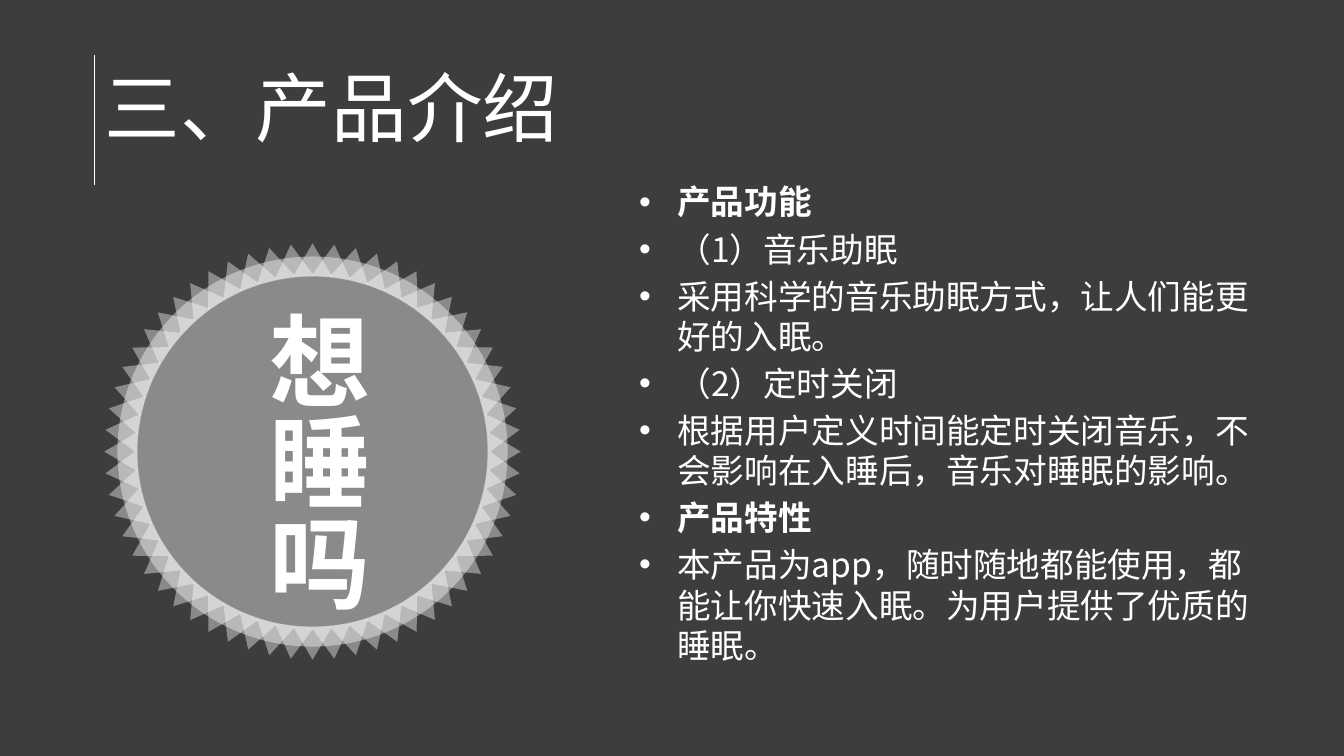
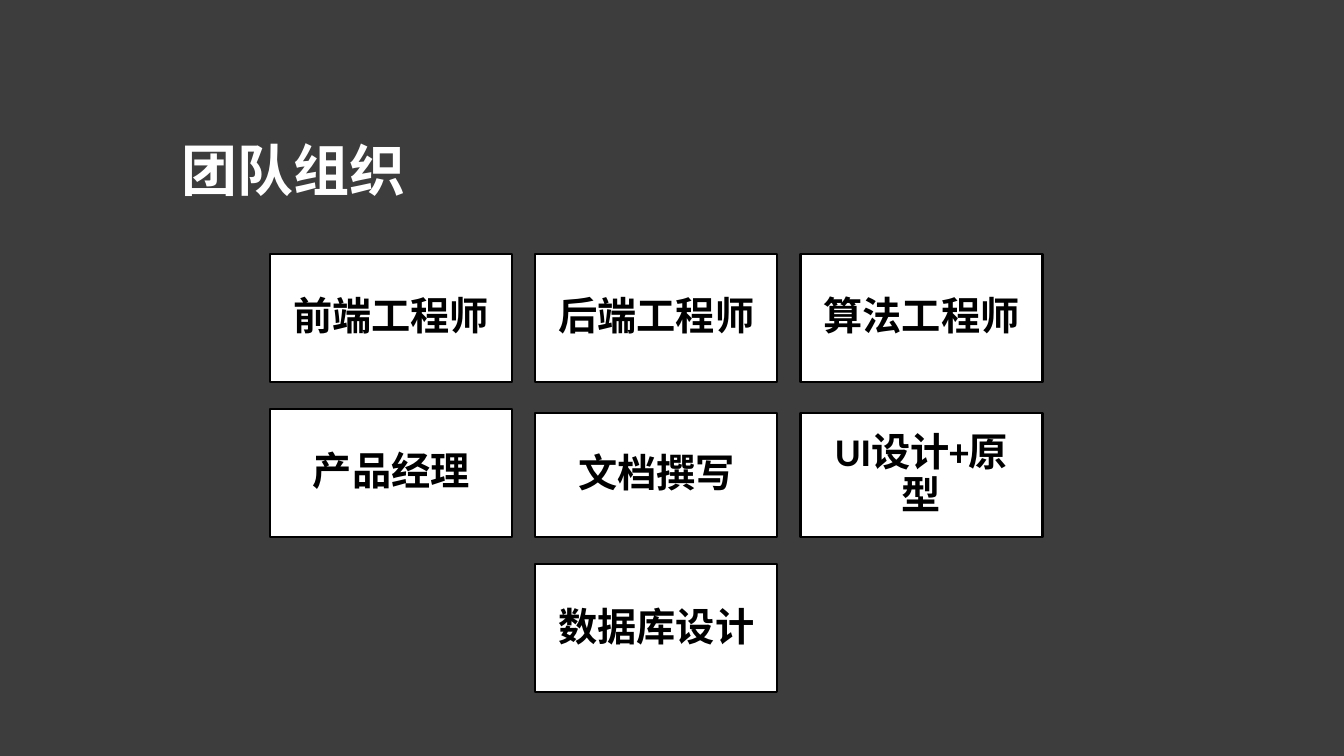
import math

import pptx
import pptx.dml.color
import pptx.enum.shapes
import pptx.enum.text
import pptx.oxml
import pptx.oxml.ns
import pptx.util
from pptx.util import Inches

# Shared style
BACKGROUND, WHITE, BLACK = "3D3D3D", "FFFFFF", "000000"
CHINESE_FONT, LATIN_FONT = "Noto Sans CJK SC", "Calibri"
SHAPES = pptx.enum.shapes.MSO_SHAPE

# Product slide content: (text, is heading)
PRODUCT_TITLE = "三、产品介绍"
BADGE_TEXT = "想睡吗"
PRODUCT_POINTS = [
    ("产品功能", True),
    ("（1）音乐助眠", False),
    ("采用科学的音乐助眠方式，让人们能更好的入眠。", False),
    ("（2）定时关闭", False),
    ("根据用户定义时间能定时关闭音乐，不会影响在入睡后，音乐对睡眠的影响。", False),
    ("产品特性", True),
    ("本产品为app，随时随地都能使用，都能让你快速入眠。为用户提供了优质的睡眠。", False),
]

# Team slide content: (role, column, row, trim at the top of the box)
TEAM_TITLE = "团队组织"
TEAM_ROLES = [
    ("前端工程师", 0, 0, 0),
    ("后端工程师", 1, 0, 0),
    ("算法工程师", 2, 0, 0),
    ("产品经理", 0, 1, 0),
    ("文档撰写", 1, 1, 0.04),
    ("UI设计+原型", 2, 1, 0.04),
    ("数据库设计", 1, 2, 0),
]

# Badge and team grid geometry, in inches
BADGE_X, BADGE_Y, DISC_SIZE = 3.1, 4.48, 3.87
TOOTH_COUNT, TOOTH_WIDTH, TOOTH_HEIGHT, TOOTH_RADIUS = 60, 0.39, 0.33, 1.9
GRID_LEFT, GRID_TOP, COLUMN_STEP, ROW_STEP = 2.68, 2.52, 2.63, 1.54
ROLE_WIDTH, ROLE_HEIGHT, ROLE_INSET = 2.4, 1.27, 0.2


def color(value):
    return pptx.dml.color.RGBColor.from_string(value)


def add_element(parent, tag, **attributes):
    element = pptx.oxml.parse_xml(
        f'<a:{tag} xmlns:a="http://schemas.openxmlformats.org/drawingml/2006/main"/>')
    for name, value in attributes.items():
        element.set(name, value)
    parent.append(element)


def add_run(paragraph, text, size, font, text_color=WHITE, bold=False):
    run = paragraph.add_run()
    run.text = text
    run.font.size = pptx.util.Pt(size)
    run.font.bold = bold
    run.font.color.rgb = color(text_color)
    run.font.name = font
    add_element(run.font._element, "ea", typeface=CHINESE_FONT)


def add_text_box(slide, left, top, width, height, grow=True):
    box = slide.shapes.add_textbox(*map(Inches, (left, top, width, height)))
    frame = box.text_frame
    frame.word_wrap = True
    if grow:
        frame.auto_size = pptx.enum.text.MSO_AUTO_SIZE.SHAPE_TO_FIT_TEXT
    return frame


def add_plain_shape(shapes, kind, left, top, width, height, opacity=None):
    shape = shapes.add_shape(kind, *map(Inches, (left, top, width, height)))
    shape.shadow.inherit = False
    shape.fill.solid()
    shape.fill.fore_color.rgb = color(WHITE)
    shape.line.fill.background()
    if opacity is not None:
        fill_color = shape._element.spPr.find(".//" + pptx.oxml.ns.qn("a:srgbClr"))
        add_element(fill_color, "alpha", val=str(opacity * 1000))
    return shape


def add_badge(slide):
    group = slide.shapes.add_group_shape()
    add_plain_shape(group.shapes, SHAPES.OVAL, BADGE_X - DISC_SIZE / 2,
                    BADGE_Y - DISC_SIZE / 2, DISC_SIZE, DISC_SIZE, opacity=40)
    for index in range(TOOTH_COUNT):
        degrees = index * 360 / TOOTH_COUNT
        angle = math.radians(degrees)
        left = BADGE_X + TOOTH_RADIUS * math.sin(angle) - TOOTH_WIDTH / 2
        top = BADGE_Y - TOOTH_RADIUS * math.cos(angle) - TOOTH_HEIGHT / 2
        tooth = add_plain_shape(group.shapes, SHAPES.ISOSCELES_TRIANGLE, left, top,
                                TOOTH_WIDTH, TOOTH_HEIGHT, opacity=40)
        tooth.rotation = degrees


def add_bullets(frame, points):
    for index, (text, is_heading) in enumerate(points):
        paragraph = frame.add_paragraph() if index else frame.paragraphs[0]
        properties = paragraph._p.get_or_add_pPr()
        properties.set("marL", str(Inches(0.38)))
        properties.set("indent", str(-Inches(0.38)))
        add_element(properties, "buFont", typeface="Arial")
        add_element(properties, "buChar", char="•")
        if index:
            paragraph.space_before = pptx.util.Pt(4.8)
        add_run(paragraph, text, 24, CHINESE_FONT, bold=is_heading)


def build_product_slide(slide):
    add_badge(slide)

    # Title with its vertical rule
    title = add_text_box(slide, 0.94, 0.55, 4.87, 1.01)
    add_run(title.paragraphs[0], PRODUCT_TITLE, 54, CHINESE_FONT)
    rule = slide.shapes.add_connector(
        pptx.enum.shapes.MSO_CONNECTOR.STRAIGHT,
        *map(Inches, (0.94, 0.55, 0.94, 1.84)))
    rule.line.color.rgb = color(WHITE)
    rule.line.width = pptx.util.Pt(0.5)
    add_element(rule._element.spPr, "effectLst")

    # Features and vertical badge text
    add_bullets(add_text_box(slide, 6.24, 1.75, 6.39, 5.42, grow=False), PRODUCT_POINTS)
    badge_text = add_text_box(slide, 2.38, 2.99, 1.41, 3.4)
    badge_text._txBody.bodyPr.set("vert", "eaVert")
    add_run(badge_text.paragraphs[0], BADGE_TEXT, 72, CHINESE_FONT, bold=True)


def build_team_slide(slide):
    title = add_text_box(slide, 1.7, 1.3, 3.37, 0.77)
    add_run(title.paragraphs[0], TEAM_TITLE, 40, LATIN_FONT, bold=True)

    # Role boxes
    for role, column, row, trim in TEAM_ROLES:
        box = add_plain_shape(
            slide.shapes, SHAPES.RECTANGLE, GRID_LEFT + column * COLUMN_STEP,
            GRID_TOP + row * ROW_STEP + trim, ROLE_WIDTH, ROLE_HEIGHT - trim)
        box.line.color.rgb = color(BLACK)
        box.line.width = pptx.util.Pt(1.5)
        frame = box.text_frame
        frame.word_wrap = True
        frame.margin_left = frame.margin_right = Inches(ROLE_INSET)
        frame.vertical_anchor = pptx.enum.text.MSO_ANCHOR.MIDDLE
        paragraph = frame.paragraphs[0]
        paragraph.alignment = pptx.enum.text.PP_ALIGN.CENTER
        paragraph.line_spacing = 0.9
        add_run(paragraph, role, 28, LATIN_FONT, BLACK, bold=True)


def main():
    presentation = pptx.Presentation()
    presentation.slide_width = Inches(13.33)
    presentation.slide_height = Inches(7.5)
    background = presentation.slide_master.background.fill
    background.solid()
    background.fore_color.rgb = color(BACKGROUND)
    for build_slide in (build_product_slide, build_team_slide):
        build_slide(presentation.slides.add_slide(presentation.slide_layouts[6]))
    presentation.save("out.pptx")


if __name__ == "__main__":
    main()
